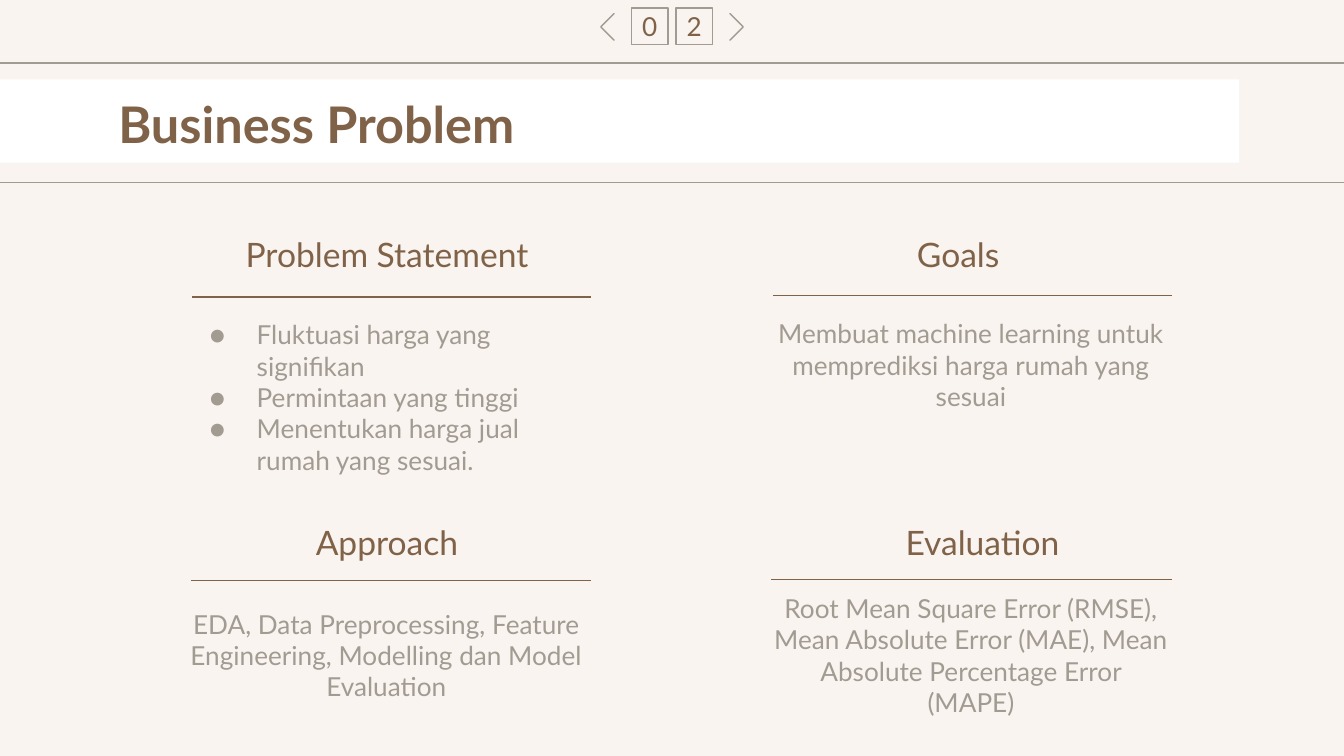
from lxml.etree import SubElement
from pptx import Presentation
from pptx.dml.color import RGBColor
from pptx.enum.shapes import MSO_CONNECTOR, MSO_SHAPE
from pptx.enum.text import MSO_ANCHOR, MSO_AUTO_SIZE, PP_ALIGN
from pptx.oxml.ns import qn
from pptx.util import Inches, Pt

FONT = "Lato"
COLORS = {"back": "F9F4F0", "band": "FFFFFF", "brown": "806248", "gray": "A29B92"}

# heading, heading left and top, text, text left and top
CARDS = [
    ("Problem Statement", 1.31, 1.6, None, 1.31, 2.69),
    ("Goals", 5.56, 1.6,
     "Membuat machine learning untuk memprediksi harga rumah yang sesuai", 5.66, 2.45),
    ("Approach", 1.31, 3.74,
     "EDA, Data Preprocessing, Feature Engineering, Modelling dan Model Evaluation",
     1.31, 4.61),
    ("Evaluation", 5.74, 3.74,
     "Root Mean Square Error (RMSE), Mean Absolute Error (MAE), "
     "Mean Absolute Percentage Error (MAPE)", 5.66, 4.61),
]
ISSUES = [
    "Fluktuasi harga yang signifikan",
    "Permintaan yang tinggi",
    "Menentukan harga jual rumah yang sesuai.",
]
# left, right and height of each rule
RULES = [(1.43, 4.4, 2.21), (5.75, 8.72, 2.2), (1.42, 4.4, 4.32), (5.74, 8.72, 4.31)]


def color(name):
    return RGBColor.from_string(COLORS[name])


def place(shape, left, top, width, height):
    shape.left, shape.top = Inches(left), Inches(top)
    shape.width, shape.height = Inches(width), Inches(height)


def write(shape, lines, size, tint, align=PP_ALIGN.CENTER, anchor=MSO_ANCHOR.MIDDLE,
          bold=False, side=0.1):
    frame = shape.text_frame
    frame.word_wrap = True
    frame.auto_size = MSO_AUTO_SIZE.NONE
    frame.vertical_anchor = anchor
    frame.margin_left = frame.margin_right = Inches(side)
    frame.margin_top = frame.margin_bottom = Inches(0.1)
    for i, line in enumerate(lines):
        para = frame.add_paragraph() if i else frame.paragraphs[0]
        para.alignment = align
        para.space_before = Pt(0)
        run = para.add_run()
        run.text = line
        font = run.font
        font.name, font.size, font.bold = FONT, Pt(size), bold
        font.color.rgb = color(tint)


def add_text(slide, text, left, top, width, height, size, tint):
    box = slide.shapes.add_textbox(0, 0, 0, 0)
    place(box, left, top, width, height)
    write(box, [text], size, tint)


def add_box(slide, kind, left, top, width, height, fill=None, line=None):
    shape = slide.shapes.add_shape(
        kind, Inches(left), Inches(top), Inches(width), Inches(height))
    shape.shadow.inherit = False
    if fill:
        shape.fill.solid()
        shape.fill.fore_color.rgb = color(fill)
    else:
        shape.fill.background()
    if line:
        shape.line.color.rgb = color(line)
        shape.line.width = Pt(0.75)
    else:
        shape.line.fill.background()
    return shape


def add_rule(slide, left, right, y):
    rule = slide.shapes.add_connector(
        MSO_CONNECTOR.STRAIGHT, Inches(left), Inches(y), Inches(right), Inches(y))
    rule.line.color.rgb = color("brown")
    rule.line.width = Pt(0.75)
    SubElement(rule._element.spPr, qn("a:effectLst"))


def add_arrow(slide, left, turn):
    arrow = add_box(slide, MSO_SHAPE.HALF_FRAME, left, 0.13, 0.14, 0.14, "brown", "gray")
    arrow.adjustments[0] = arrow.adjustments[1] = 0
    arrow.rotation = turn


def add_digit(slide, digit, left):
    box = add_box(slide, MSO_SHAPE.RECTANGLE, left, 0.06, 0.27, 0.27, line="gray")
    write(box, [digit], 14, "brown", side=0)


def set_bullets(shape):
    for para in shape.text_frame.paragraphs:
        props = para._p.get_or_add_pPr()
        props.set("marL", str(Inches(0.5)))
        props.set("indent", str(Inches(-0.35)))
        tint = SubElement(props, qn("a:buClr"))
        SubElement(tint, qn("a:srgbClr"), val=COLORS["gray"])
        SubElement(props, qn("a:buFont"), typeface=FONT)
        SubElement(props, qn("a:buChar"), char="●")


def main():
    deck = Presentation()
    # Widescreen, 16:9
    deck.slide_width = Inches(10)
    deck.slide_height = Inches(10 * 9 / 16)
    slide = deck.slides.add_slide(deck.slide_layouts[1])
    slide.background.fill.solid()
    slide.background.fill.fore_color.rgb = color("back")
    title, body = slide.placeholders

    # Title band, with the title raised above it
    add_box(slide, MSO_SHAPE.RECTANGLE, -0.04, 0.59, 9.26, 0.62, fill="band")
    add_box(slide, MSO_SHAPE.RECTANGLE, -0.28, 0.47, 11.9, 0.89, line="gray")
    slide.shapes._spTree.append(title._element)
    place(title, 0.78, 0.59, 8.44, 0.62)
    write(title, ["Business Problem"], 27, "brown", PP_ALIGN.LEFT, MSO_ANCHOR.TOP, True)

    # Four cards; the first holds the list
    for head, x, y, text, left, top in CARDS:
        add_text(slide, head, x, y, 3.14, 0.58, 18, "brown")
        if text:
            add_text(slide, text, left, top, 3.13, 0.53, 14, "gray")
        else:
            place(body, left, top, 3.14, 0.53)
            write(body, ISSUES, 14, "gray", PP_ALIGN.LEFT)
            set_bullets(body)
    for rule in RULES:
        add_rule(slide, *rule)

    # Page number between arrows
    add_arrow(slide, 4.5, 315)
    add_digit(slide, "0", 4.7)
    add_digit(slide, "2", 5.03)
    add_arrow(slide, 5.36, 135)

    deck.save("out.pptx")


if __name__ == "__main__":
    main()
